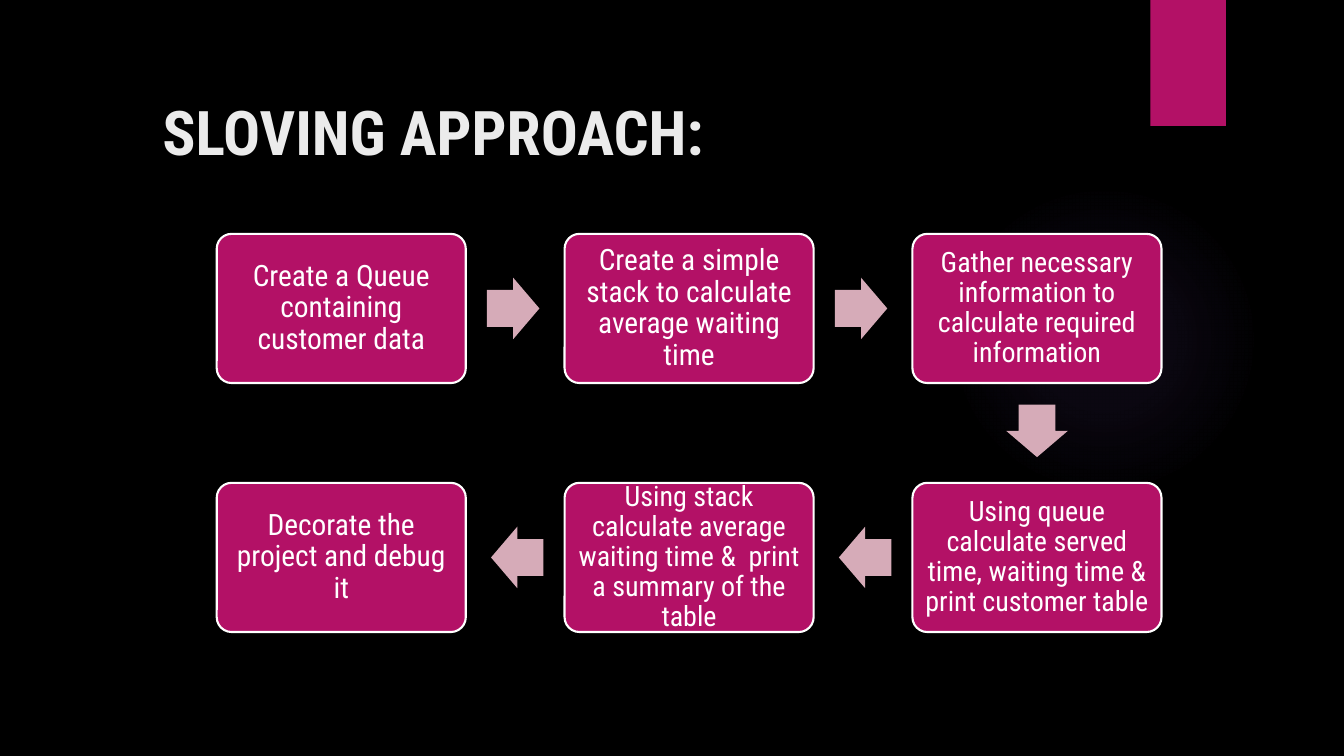
import math

import pptx
import pptx.dml.color
import pptx.enum.shapes
import pptx.enum.text
import pptx.oxml
import pptx.oxml.ns
import pptx.util

Inches = pptx.util.Inches
Pt = pptx.util.Pt
RGBColor = pptx.dml.color.RGBColor
MSO_SHAPE = pptx.enum.shapes.MSO_SHAPE

BLACK = RGBColor(0x00, 0x00, 0x00)
WHITE = RGBColor(0xFF, 0xFF, 0xFF)
TITLE_GREY = RGBColor(0xEB, 0xEB, 0xEB)
MAGENTA = RGBColor(0xB3, 0x11, 0x66)
PINK = RGBColor(0xD6, 0xAB, 0xB8)
VIOLET = RGBColor(0x9B, 0x6B, 0xF2)

FONT = "Roboto Condensed"
COLUMNS = 3
STEP_WIDTH, STEP_HEIGHT = 2.47, 1.48
ARROW_WIDTH, ARROW_HEIGHT = 0.52, 0.61
ARROW_SETBACK = 0.02
STEPS = [
    ("Create a Queue containing customer data", 21),
    ("Create a simple stack to calculate average waiting time", 21),
    ("Gather necessary information to calculate required information", 20),
    ("Using queue calculate served time, waiting time & print customer table", 20),
    ("Using stack calculate average waiting time &  print a summary of the table", 20),
    ("Decorate the project and debug it", 21),
]


def add_plain_shape(slide, kind, left, top, width, height, color):
    """Add a flat filled shape without outline or shadow."""
    shape = slide.shapes.add_shape(
        kind, Inches(left), Inches(top), Inches(width), Inches(height))
    shape.shadow.inherit = False
    shape.fill.solid()
    shape.fill.fore_color.rgb = color
    shape.line.fill.background()
    return shape


def add_glow(slide, left, top, size):
    """Add a faint round glow that fades towards its edge."""
    glow = add_plain_shape(slide, MSO_SHAPE.OVAL, left, top, size, size, VIOLET)
    stops = "".join(
        f'<a:gs pos="{position * 1000}"><a:srgbClr val="{VIOLET}">'
        f'<a:alpha val="{alpha * 1000}"/></a:srgbClr></a:gs>'
        for position, alpha in ((0, 7), (36, 6), (69, 0)))
    gradient = pptx.oxml.parse_xml(
        f'<a:gradFill {pptx.oxml.ns.nsdecls("a")}><a:gsLst>{stops}</a:gsLst>'
        '<a:path path="circle">'
        '<a:fillToRect l="50000" t="50000" r="50000" b="50000"/>'
        '</a:path></a:gradFill>')
    properties = glow.element.spPr
    properties.replace(properties.find(pptx.oxml.ns.qn("a:solidFill")), gradient)


def format_title(slide, left, top, width, height):
    """Place and fill the title placeholder."""
    title = slide.shapes.title
    title.left, title.top = Inches(left), Inches(top)
    title.width, title.height = Inches(width), Inches(height)
    frame = title.text_frame
    frame.text = "SLOVING APPROACH:"
    frame.vertical_anchor = pptx.enum.text.MSO_ANCHOR.TOP
    paragraph = frame.paragraphs[0]
    paragraph.alignment = pptx.enum.text.PP_ALIGN.LEFT
    paragraph.font.name = FONT
    paragraph.font.size = Pt(44)
    paragraph.font.bold = True
    paragraph.font.color.rgb = TITLE_GREY


def add_step(slide, left, top, wording, size):
    """Add one rounded step box with centred wording."""
    step = add_plain_shape(slide, MSO_SHAPE.ROUNDED_RECTANGLE, left, top,
                           STEP_WIDTH, STEP_HEIGHT, MAGENTA)
    step.adjustments[0] = 0.1
    step.line.color.rgb = WHITE
    step.line.width = Pt(1.5)
    frame = step.text_frame
    frame.word_wrap = True
    frame.vertical_anchor = pptx.enum.text.MSO_ANCHOR.MIDDLE
    inset = Inches(0.09 if size > 20 else 0.08)
    frame.margin_left = frame.margin_right = inset
    frame.margin_top = frame.margin_bottom = inset
    frame.text = wording
    paragraph = frame.paragraphs[0]
    paragraph.alignment = pptx.enum.text.PP_ALIGN.CENTER
    paragraph.line_spacing = 0.9
    paragraph.font.name = FONT
    paragraph.font.size = Pt(size)
    paragraph.font.color.rgb = WHITE


def add_flow_arrow(slide, start, end):
    """Add a block arrow between two step boxes given by their corners."""
    angle = math.atan2(end[1] - start[1], end[0] - start[0])
    center_x = (start[0] + end[0] + STEP_WIDTH) / 2 - ARROW_SETBACK * math.cos(angle)
    center_y = (start[1] + end[1] + STEP_HEIGHT) / 2 - ARROW_SETBACK * math.sin(angle)
    arrow = add_plain_shape(
        slide, MSO_SHAPE.RIGHT_ARROW, center_x - ARROW_WIDTH / 2,
        center_y - ARROW_HEIGHT / 2, ARROW_WIDTH, ARROW_HEIGHT, PINK)
    arrow.adjustments[0] = 0.6
    arrow.adjustments[1] = 0.5
    arrow.rotation = math.degrees(angle)


def add_process(slide, left, top, width, height):
    """Lay the steps out in a serpentine grid joined by arrows."""
    column_pitch = (width - STEP_WIDTH) / (COLUMNS - 1)
    row_pitch = height - STEP_HEIGHT
    corners = []
    for index, (wording, size) in enumerate(STEPS):
        row, column = divmod(index, COLUMNS)
        if row % 2:
            column = COLUMNS - 1 - column
        corners.append((left + column * column_pitch, top + row * row_pitch))
        add_step(slide, *corners[-1], wording, size)
    for start, end in zip(corners, corners[1:]):
        add_flow_arrow(slide, start, end)


def main():
    """Build the slide and save it."""
    presentation = pptx.Presentation()
    presentation.slide_width = Inches(13.33)
    presentation.slide_height = Inches(7.5)
    slide = presentation.slides.add_slide(presentation.slide_layouts[5])
    slide.background.fill.solid()
    slide.background.fill.fore_color.rgb = BLACK
    add_glow(slide, 9.41, 1.83, 3.08)
    add_plain_shape(slide, MSO_SHAPE.RECTANGLE, 11.41, 0, 0.75, 1.25, MAGENTA)
    format_title(slide, 1.51, 0.88, 10.29, 1.53)
    add_process(slide, 2.15, 2.32, 9.37, 3.95)
    presentation.save("out.pptx")


if __name__ == "__main__":
    main()
